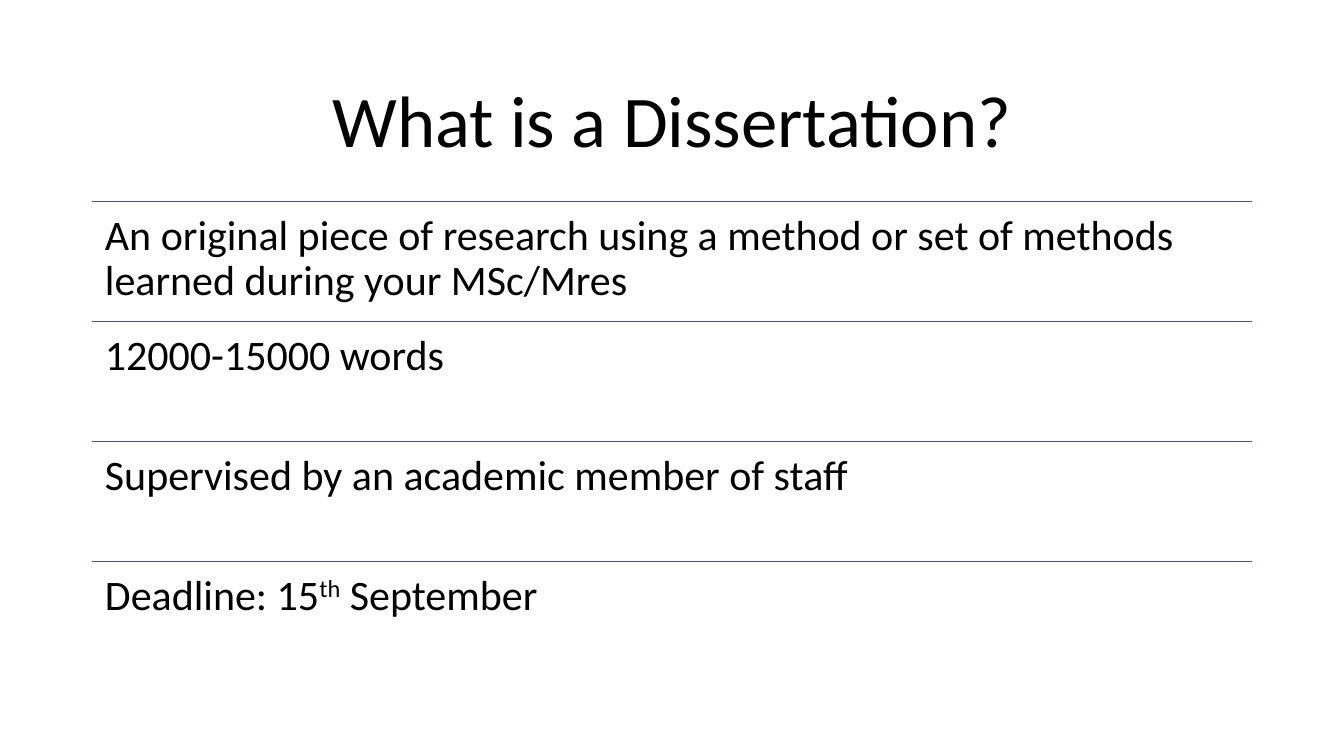
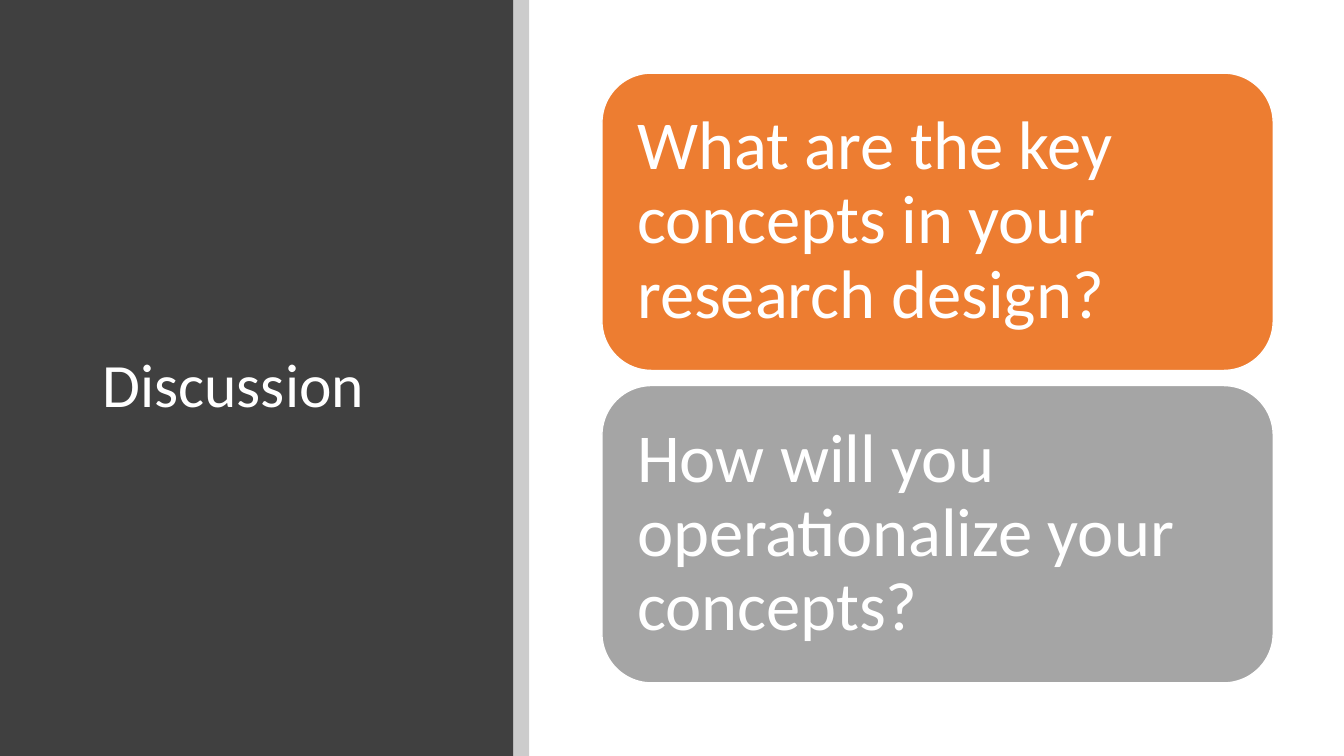
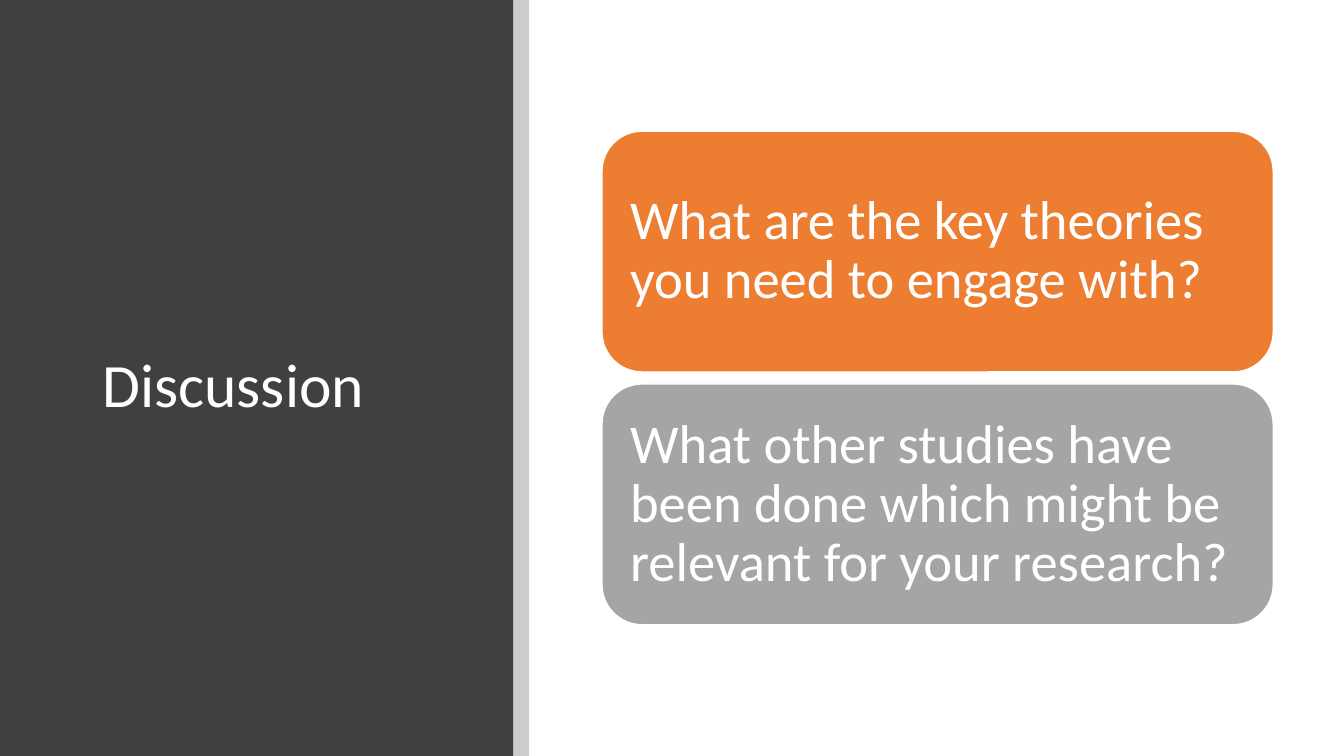
from lxml import etree
from pptx import Presentation
from pptx.dml.color import RGBColor
from pptx.enum.shapes import MSO_CONNECTOR, MSO_SHAPE
from pptx.enum.text import MSO_ANCHOR, MSO_AUTO_SIZE, PP_ALIGN
from pptx.oxml.ns import qn
from pptx.util import Pt

RECT, ROUND = MSO_SHAPE.RECTANGLE, MSO_SHAPE.ROUNDED_RECTANGLE
STRAIGHT = MSO_CONNECTOR.STRAIGHT
TOP, MIDDLE = MSO_ANCHOR.TOP, MSO_ANCHOR.MIDDLE
LEFT, CENTER = PP_ALIGN.LEFT, PP_ALIGN.CENTER
NO_FIT = MSO_AUTO_SIZE.NONE
TITLE_ONLY = 5

WIDTH, HEIGHT = 960, 540
FONT = "Calibri"
BLACK, WHITE = "000000", "FFFFFF"
SLATE, CHARCOAL = "44546A", "404040"
CARD_FILLS = ("ED7D31", "A5A5A5")
MARGIN = 66
PANEL_W, STRIP_W = 366.5, 11.5
CARD_LEFT, CARD_W = 430, 479.5
INSET_RATIO, GAP_RATIO = 0.3, 0.22  # both relative to the text size


def rgb(value):
    return RGBColor.from_string(value)


class Deck:
    def __init__(self):
        self.prs = Presentation()
        self.prs.slide_width, self.prs.slide_height = Pt(WIDTH), Pt(HEIGHT)
        self.s = None

    def add_slide(self):
        layout = self.prs.slide_layouts[TITLE_ONLY]
        self.s = self.prs.slides.add_slide(layout)

    def add_text(self, sp, runs, size, color, align=LEFT, anchor=MIDDLE, inset=None):
        """Fill sp with one paragraph; runs are (text, is_superscript) pairs."""
        tf = sp.text_frame
        tf.word_wrap, tf.auto_size, tf.vertical_anchor = True, NO_FIT, anchor
        if inset is not None:
            tf.margin_left = tf.margin_right = Pt(inset)
            tf.margin_top = tf.margin_bottom = Pt(inset)
        p = tf.paragraphs[0]
        p.alignment, p.line_spacing = align, 0.9
        for text, superscript in runs:
            r = p.add_run()
            r.text = text
            r.font.name, r.font.size = FONT, Pt(size)
            r.font.color.rgb = rgb(color)
            if superscript:
                r._r.get_or_add_rPr().set("baseline", "30000")

    def title(self, text, box, size, color, align):
        sp = self.s.shapes.title
        sp.left, sp.top, sp.width, sp.height = map(Pt, box)
        self.add_text(sp, [(text, False)], size, color, align)

    def shape(self, kind, box, fill, line=None, alpha=None):
        sp = self.s.shapes.add_shape(kind, *map(Pt, box))
        sp.shadow.inherit = False
        sp.fill.solid()
        sp.fill.fore_color.rgb = rgb(fill)
        if alpha is not None:
            clr = sp._element.spPr.find(".//" + qn("a:srgbClr"))
            etree.SubElement(clr, qn("a:alpha")).set("val", str(alpha * 1000))
        if line:
            sp.line.color.rgb = rgb(line)
            sp.line.width = Pt(1)
        else:
            sp.line.fill.background()
        return sp

    def rule(self, left, top, width):
        ends = map(Pt, (left, top, left + width, top))
        line = self.s.shapes.add_connector(STRAIGHT, *ends)
        line.line.color.rgb = rgb(SLATE)
        line.line.width = Pt(1)
        etree.SubElement(line._element.spPr, qn("a:effectLst"))

    def ruled_rows(self, rows, top, pitch, size):
        width = WIDTH - 2 * MARGIN
        for i, runs in enumerate(rows):
            y = top + i * pitch
            self.rule(MARGIN, y, width)
            sp = self.s.shapes.add_textbox(*map(Pt, (MARGIN, y, width, pitch)))
            self.add_text(sp, runs, size, BLACK, anchor=TOP, inset=INSET_RATIO * size)

    def side_panel(self, text):
        """Dark left panel with a translucent strip and the title over it."""
        self.shape(RECT, (0, 0, PANEL_W, HEIGHT), CHARCOAL)
        self.shape(RECT, (PANEL_W, 0, STRIP_W, HEIGHT), BLACK, alpha=20)
        self.title(text, (MARGIN, 64, 263, 425.5), 44, WHITE, LEFT)
        self.s.shapes._spTree.append(self.s.shapes.title._element)

    def cards(self, texts, height, size):
        """Stack of cards, centred vertically on the slide."""
        pitch = height + GAP_RATIO * size
        top = (HEIGHT - pitch * (len(texts) - 1) - height) / 2
        for i, (text, fill) in enumerate(zip(texts, CARD_FILLS)):
            box = (CARD_LEFT, top + i * pitch, CARD_W, height)
            sp = self.shape(ROUND, box, fill, line=WHITE)
            self.add_text(sp, [(text, False)], size, WHITE, inset=INSET_RATIO * size)


DEFINITION = (
    [("An original piece of research using a method or set of methods "
      "learned during your MSc/Mres", False)],
    [("12000-15000 words", False)],
    [("Supervised by an academic member of staff", False)],
    [("Deadline: 15", False), ("th", True), (" September", False)],
)
DISCUSSIONS = (
    (("What are the key concepts in your research design?",
      "How will you operationalize your concepts?"), 212.4, 49),
    (("What are the key theories you need to engage with?",
      "What other studies have been done which might be relevant "
      "for your research?"), 172, 39),
)


def main():
    deck = Deck()
    deck.add_slide()
    deck.title("What is a Dissertation?", (MARGIN, 44, WIDTH - 2 * MARGIN, 89),
               52, BLACK, CENTER)
    deck.ruled_rows(DEFINITION, top=144, pitch=85.7, size=30)
    for questions, height, size in DISCUSSIONS:
        deck.add_slide()
        deck.side_panel("Discussion")
        deck.cards(questions, height, size)
    deck.prs.save("out.pptx")


if __name__ == "__main__":
    main()
